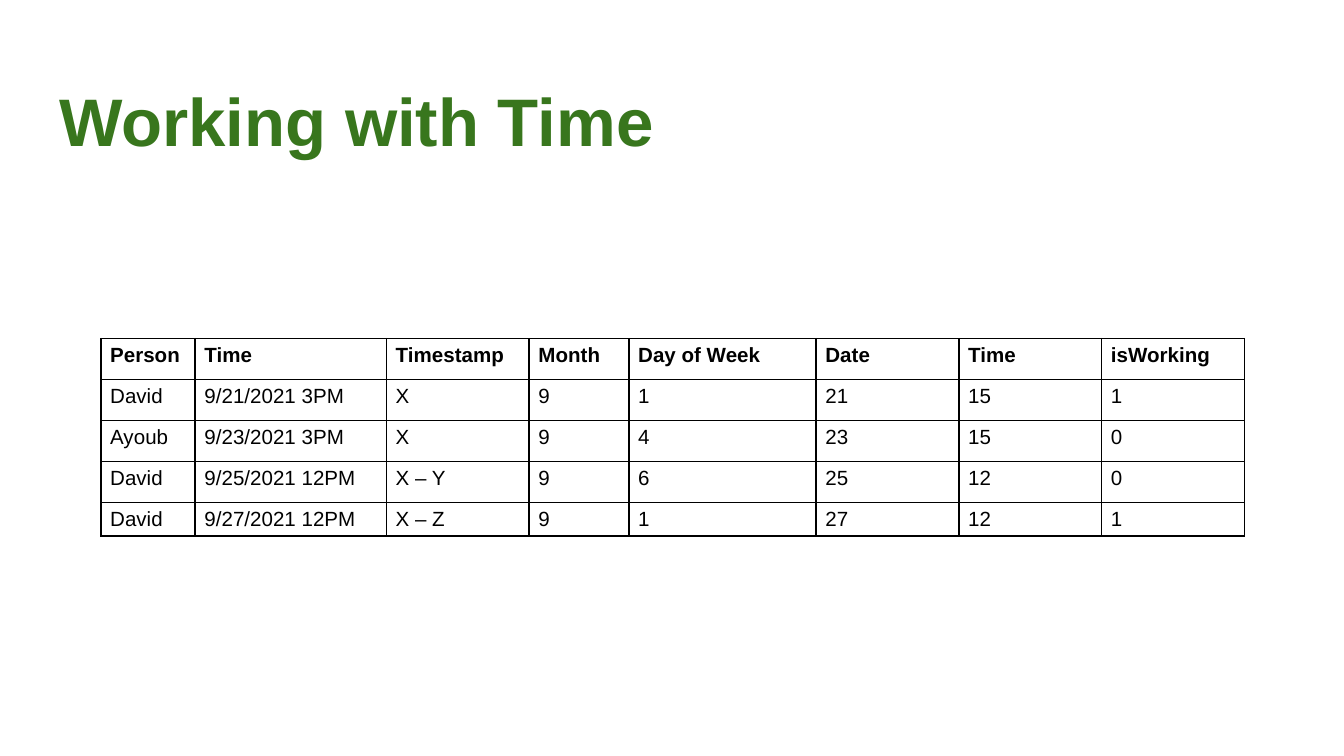
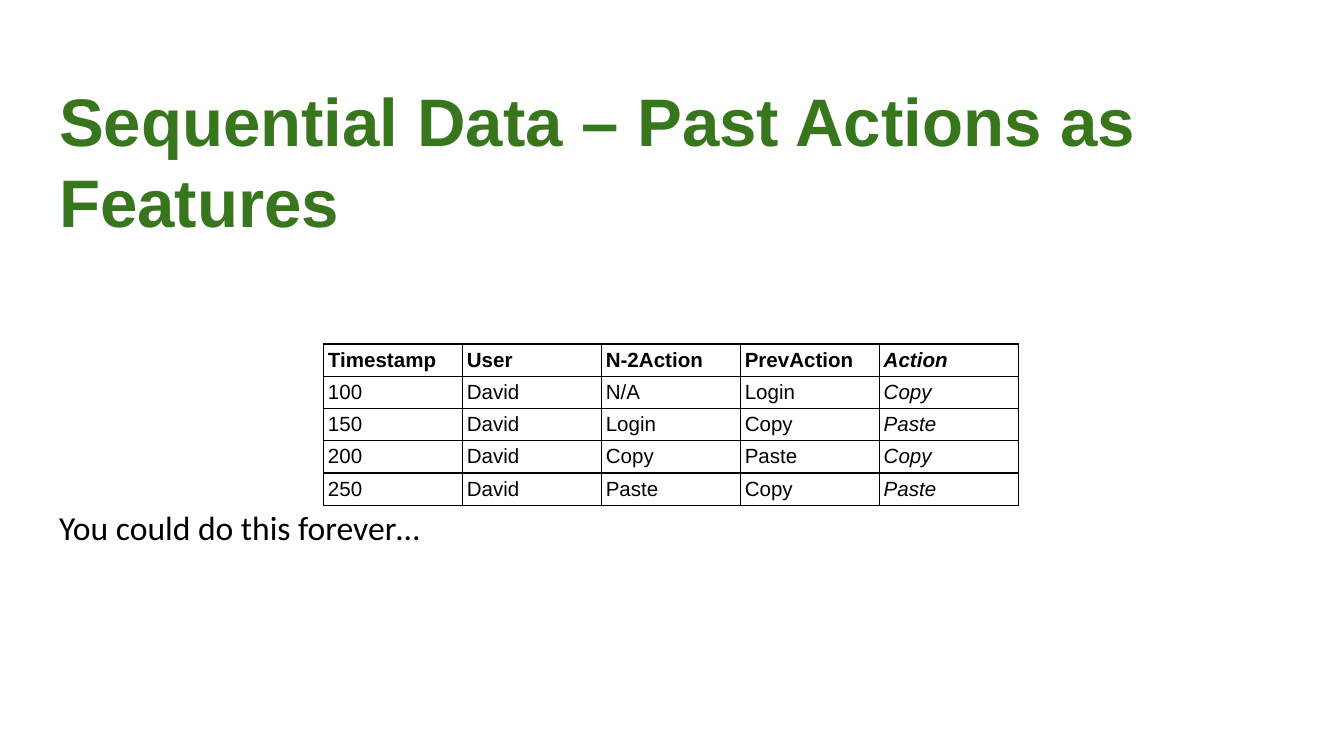
"""Builds two slides on time and sequence features, each with a data table."""
from dataclasses import dataclass

from lxml import etree
from pptx import Presentation
from pptx.dml.color import RGBColor
from pptx.enum.text import MSO_ANCHOR, MSO_AUTO_SIZE, PP_ALIGN
from pptx.oxml.ns import qn
from pptx.slide import Slide
from pptx.table import _Cell
from pptx.text.text import TextFrame, _Paragraph
from pptx.util import Inches, Pt

TOP, MIDDLE = MSO_ANCHOR.TOP, MSO_ANCHOR.MIDDLE
NO_AUTOFIT = MSO_AUTO_SIZE.NONE
LEFT = PP_ALIGN.LEFT
GREEN, BLACK, WHITE = "38761D", "000000", "FFFFFF"
HEADING_FONT, BODY_FONT = "Arial", "Calibri"
SLIDE_WIDTH = 10
SLIDE_HEIGHT = SLIDE_WIDTH * 9 / 16
MARGIN, CONTENT_WIDTH, INSET = 0.34, 9.32, 0.1
TITLE_ONLY, TITLE_AND_CONTENT = 5, 1


@dataclass(frozen=True)
class DataTable:
    left: float
    top: float
    width: float
    column_shares: list[float]
    row_heights: list[float]
    rows: list[list[str]]
    padding: tuple[float, float]
    border_points: float
    anchor: MSO_ANCHOR = TOP
    fill: str | None = None
    italic_column: int | None = None


TIME_TABLE = DataTable(
    left=0.75, top=2.52, width=8.51,
    column_shares=[0.7, 1.42, 1.06, 0.74, 1.39, 1.06, 1.06, 1.06],
    row_heights=[1.22 / 4] * 4 + [0.11],
    rows=[
        ["Person", "Time", "Timestamp", "Month", "Day of Week", "Date", "Time", "isWorking"],
        ["David", "9/21/2021 3PM", "X", "9", "1", "21", "15", "1"],
        ["Ayoub", "9/23/2021 3PM", "X", "9", "4", "23", "15", "0"],
        ["David", "9/25/2021 12PM", "X – Y", "9", "6", "25", "12", "0"],
        ["David", "9/27/2021 12PM", "X – Z", "9", "1", "27", "12", "1"],
    ],
    padding=(0.07, 0.04), border_points=1,
)
ACTION_TABLE = DataTable(
    left=2.41, top=2.56, width=5.17,
    column_shares=[1] * 5,
    row_heights=[0.24] * 5,
    rows=[
        ["Timestamp", "User", "N-2Action", "PrevAction", "Action"],
        ["100", "David", "N/A", "Login", "Copy"],
        ["150", "David", "Login", "Copy", "Paste"],
        ["200", "David", "Copy", "Paste", "Copy"],
        ["250", "David", "Paste", "Copy", "Paste"],
    ],
    padding=(0.03, 0.03), border_points=0.75,
    anchor=MIDDLE, fill=WHITE, italic_column=4,
)


def color(value: str) -> RGBColor:
    """Turn a hex string into a colour."""
    return RGBColor.from_string(value)


def set_font(paragraph: _Paragraph, name: str, size: float, ink: str,
             bold: bool = False, italic: bool = False) -> None:
    """Format a whole paragraph."""
    font = paragraph.font
    font.name, font.size, font.bold, font.italic = name, Pt(size), bold, italic
    font.color.rgb = color(ink)


def fill_placeholder(placeholder, text: str, top: float, height: float,
                     top_inset: float = INSET) -> TextFrame:
    """Place a full-width placeholder and give it top-aligned text."""
    placeholder.left, placeholder.top = Inches(MARGIN), Inches(top)
    placeholder.width, placeholder.height = Inches(CONTENT_WIDTH), Inches(height)
    frame = placeholder.text_frame
    frame.text = text
    frame.word_wrap, frame.auto_size, frame.vertical_anchor = True, NO_AUTOFIT, TOP
    frame.margin_left = frame.margin_right = frame.margin_bottom = Inches(INSET)
    frame.margin_top = Inches(top_inset)
    frame.paragraphs[0].alignment = LEFT
    return frame


def add_titled_slide(deck, layout: int, title: str) -> Slide:
    """Add a slide with the shared green title."""
    slide = deck.slides.add_slide(deck.slide_layouts[layout])
    heading = fill_placeholder(slide.shapes.title, title, 0.49, 0.63).paragraphs[0]
    set_font(heading, HEADING_FONT, 36, GREEN, bold=True)
    return slide


def add_closing_remark(slide: Slide, text: str) -> None:
    """Write an unbulleted line low in the body placeholder."""
    remark = fill_placeholder(slide.placeholders[1], text, 1.26, 3.74, 2.47).paragraphs[0]
    properties = remark._p.get_or_add_pPr()
    properties.set("marL", "0")
    properties.set("indent", "0")
    etree.SubElement(properties, qn("a:buNone"))
    remark.line_spacing, remark.space_before = 1.15, Pt(0)
    set_font(remark, BODY_FONT, 18, BLACK)


def set_borders(cell: _Cell, points: float) -> None:
    """Draw a black line on all four sides of a cell."""
    properties = cell._tc.get_or_add_tcPr()
    for side in ("lnL", "lnR", "lnT", "lnB"):
        line = etree.SubElement(properties, qn(f"a:{side}"), w=str(int(Pt(points))))
        solid = etree.SubElement(line, qn("a:solidFill"))
        etree.SubElement(solid, qn("a:srgbClr"), val=BLACK)


def add_data_table(slide: Slide, data: DataTable) -> None:
    """Draw a bordered table with a bold header row."""
    table = slide.shapes.add_table(
        len(data.rows), len(data.column_shares), Inches(data.left), Inches(data.top),
        Inches(data.width), Inches(sum(data.row_heights))).table
    table.horz_banding = False
    for column, share in zip(table.columns, data.column_shares):
        column.width = Inches(data.width * share / sum(data.column_shares))
    for row, height in zip(table.rows, data.row_heights):
        row.height = Inches(height)
    side, edge = map(Inches, data.padding)
    for row_index, values in enumerate(data.rows):
        for column_index, value in enumerate(values):
            cell = table.cell(row_index, column_index)
            cell.text = value
            cell.margin_left = cell.margin_right = side
            cell.margin_top = cell.margin_bottom = edge
            cell.vertical_anchor = data.anchor
            set_borders(cell, data.border_points)
            if data.fill:
                cell.fill.solid()
                cell.fill.fore_color.rgb = color(data.fill)
            else:
                cell.fill.background()
            set_font(cell.text_frame.paragraphs[0], HEADING_FONT, 11, BLACK,
                     bold=row_index == 0, italic=column_index == data.italic_column)


def main() -> None:
    """Build and save the deck."""
    deck = Presentation()
    deck.slide_width, deck.slide_height = Inches(SLIDE_WIDTH), Inches(SLIDE_HEIGHT)

    time_slide = add_titled_slide(deck, TITLE_ONLY, "Working with Time")
    add_data_table(time_slide, TIME_TABLE)

    action_slide = add_titled_slide(
        deck, TITLE_AND_CONTENT, "Sequential Data – Past Actions as Features")
    add_closing_remark(action_slide, "You could do this forever…")
    add_data_table(action_slide, ACTION_TABLE)

    deck.save("out.pptx")


if __name__ == "__main__":
    main()
